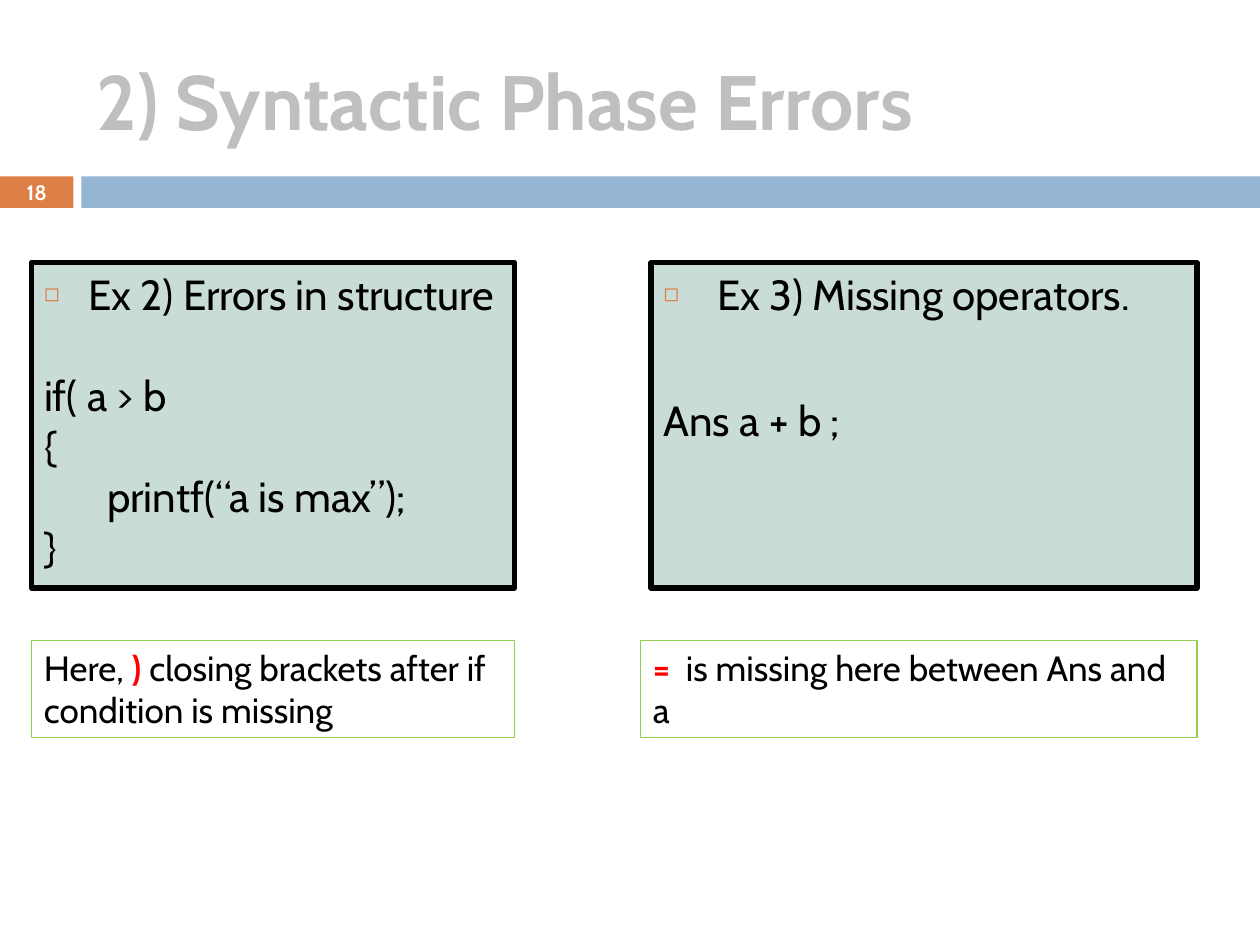
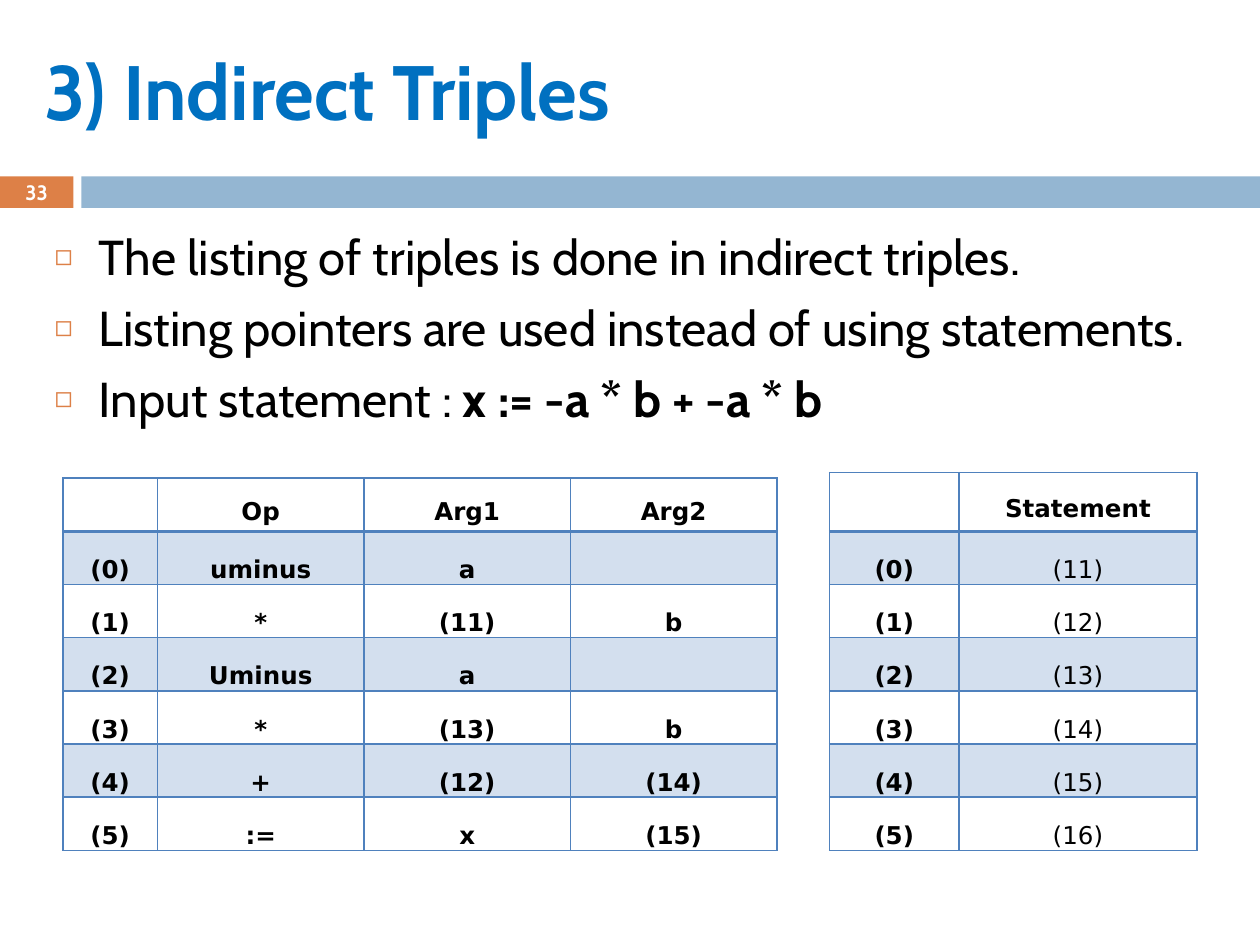
from lxml import etree
from pptx import Presentation
from pptx.dml.color import RGBColor
from pptx.enum.shapes import MSO_SHAPE
from pptx.enum.text import MSO_ANCHOR, MSO_AUTO_SIZE, PP_ALIGN
from pptx.oxml import parse_xml
from pptx.oxml.ns import nsdecls, qn
from pptx.util import Pt

RECTANGLE = MSO_SHAPE.RECTANGLE
LEFT, CENTER = PP_ALIGN.LEFT, PP_ALIGN.CENTER
MIDDLE, BOTTOM = MSO_ANCHOR.MIDDLE, MSO_ANCHOR.BOTTOM
NO_AUTOFIT, GROW = MSO_AUTO_SIZE.NONE, MSO_AUTO_SIZE.SHAPE_TO_FIT_TEXT

BLACK, WHITE, RED = "000000", "FFFFFF", "FF0000"
ORANGE, BAND_BLUE = "DD8047", "94B6D2"
EXAMPLE_FILL, NOTE_LINE = "CADCD8", "92D050"
GRID_BLUE, STRIPE = "4F81BD", "D3DFEE"


def paint(part, color):
    """Set a solid colour on a fill."""
    part.solid()
    part.fore_color.rgb = RGBColor.from_string(color)


def write(frame, text, *, size, color=BLACK, bold=False, font="Cabin", align=LEFT,
          bullet=False, indent=0, before=0, spacing=None, same_line=False):
    """Add text as a new paragraph, or at the end of the last one."""
    paragraph = frame.paragraphs[-1]
    if not same_line:
        if paragraph.runs:
            paragraph = frame.add_paragraph()
        properties = paragraph._p.get_or_add_pPr()
        properties.set("marL", str(Pt(indent)))
        properties.set("indent", str(-Pt(indent)))
        if bullet:
            bullet_color = etree.SubElement(properties, qn("a:buClr"))
            etree.SubElement(bullet_color, qn("a:srgbClr"), val=ORANGE)
            etree.SubElement(properties, qn("a:buSzPct"), val="60000")
            etree.SubElement(properties, qn("a:buChar"), char="◻")
        else:
            etree.SubElement(properties, qn("a:buNone"))
        paragraph.alignment = align
        paragraph.space_before = Pt(before)
        if spacing:
            paragraph.line_spacing = spacing
    run = paragraph.add_run()
    run.text = text
    run.font.name = font
    run.font.size = Pt(size)
    run.font.bold = bold
    paint(run.font.fill, color)


prs = Presentation()
prs.slide_width, prs.slide_height = Pt(720), Pt(540)
errors = prs.slides.add_slide(prs.slide_layouts[3])
triples = prs.slides.add_slide(prs.slide_layouts[1])

# Title, bands and page number of each slide
for slide, heading, color, page, (left, top, width) in [
    (errors, "2) Syntactic Phase Errors", "BFBFBF", "18", (48, 18, 642)),
    (triples, "3) Indirect Triples", "0070C0", "33", (18, 12, 690)),
]:
    title = slide.shapes.title
    title.left, title.top, title.width, title.height = Pt(left), Pt(top), Pt(width), Pt(78)
    title.text_frame.auto_size = NO_AUTOFIT
    title.text_frame.vertical_anchor = MIDDLE
    write(title.text_frame, heading, size=44, color=color, bold=True)

    for band_left, band_width, band_color in [(0, 42, ORANGE), (46.5, 673.5, BAND_BLUE)]:
        band = slide.shapes.add_shape(RECTANGLE, Pt(band_left), Pt(100.8), Pt(band_width), Pt(18))
        band.shadow.inherit = False
        paint(band.fill, band_color)
        band.line.fill.background()

    page_number = slide.shapes.add_textbox(0, Pt(100), Pt(42), Pt(19.5)).text_frame
    page_number.word_wrap = True
    page_number.vertical_anchor = MIDDLE
    write(page_number, page, size=11.9, color=WHITE, bold=True, align=CENTER)

# Slide 1: code examples above, notes below
structure, operators = errors.placeholders[1], errors.placeholders[2]
for example, left, width in [(structure, 18, 276), (operators, 372, 312)]:
    example.left, example.top, example.width, example.height = Pt(left), Pt(150), Pt(width), Pt(186)
    paint(example.fill, EXAMPLE_FILL)
    paint(example.line.fill, BLACK)
    example.line.width = Pt(3)
    example.text_frame.auto_size = NO_AUTOFIT

write(structure.text_frame, "Ex 2) Errors in structure", size=24, bullet=True, indent=25.2)
for code, before in [("if( a > b", 29), ("{", 0), ("\tprintf(“a is max”);", 0), ("}", 0)]:
    write(structure.text_frame, code, size=24, before=before)

write(operators.text_frame, "Ex 3) Missing operators.", size=24, bullet=True, indent=30.6)
write(operators.text_frame, "Ans a + b ;", size=24, before=43)

for left, width, pieces in [
    (18, 276, [("Here,", BLACK), (" ) ", RED),
               ("closing brackets after if condition is missing", BLACK)]),
    (366, 318, [("=  ", RED), ("is missing here between Ans and a", BLACK)]),
]:
    note = errors.shapes.add_textbox(Pt(left), Pt(366), Pt(width), Pt(55.6))
    paint(note.line.fill, NOTE_LINE)
    note.line.width = Pt(0.75)
    note.text_frame.word_wrap = True
    note.text_frame.auto_size = GROW
    for position, (piece, color) in enumerate(pieces):
        write(note.text_frame, piece, size=20, color=color, bold=color == RED,
              same_line=position > 0)

# Slide 2: list, then the triples and their pointers
points = triples.placeholders[1]
points.left, points.top, points.width, points.height = Pt(24), Pt(126), Pt(672), Pt(132)
points.text_frame.auto_size = NO_AUTOFIT
for position, point in enumerate([
    "The listing of triples is done in indirect triples.",
    "Listing pointers are used instead of using statements.",
    "Input statement : ",
]):
    write(points.text_frame, point, size=28, bullet=True, indent=25.2,
          before=7 if position else 0)
write(points.text_frame, "x := -a * b + -a * b", size=28, bold=True, same_line=True)

triple_rows = [
    ("", "Op", "Arg1", "Arg2"),
    ("(0)", "uminus", "a", ""),
    ("(1)", "*", "(11)", "b"),
    ("(2)", "Uminus", "a", ""),
    ("(3)", "*", "(13)", "b"),
    ("(4)", "+", "(12)", "(14)"),
    ("(5)", ":=", "x", "(15)"),
]
pointer_rows = [("", "Statement")] + [(f"({i})", f"({i + 11})") for i in range(6)]
ROW_HEIGHT, TABLES_BOTTOM = 30.4, 486

for rows, left, widths, header_height, bold_columns in [
    (triple_rows, 36, [54, 118, 118, 118], 30.4, 4),
    (pointer_rows, 474, [74, 136], 33.6, 1),
]:
    height = header_height + ROW_HEIGHT * (len(rows) - 1)
    table = triples.shapes.add_table(len(rows), len(widths), Pt(left), Pt(TABLES_BOTTOM - height),
                                     Pt(sum(widths)), Pt(height)).table
    table.first_row = table.horz_banding = False
    for column, width in zip(table.columns, widths):
        column.width = Pt(width)
    for r, row in enumerate(rows):
        table.rows[r].height = Pt(ROW_HEIGHT if r else header_height)
        for c, value in enumerate(row):
            cell = table.cell(r, c)
            cell.margin_left = cell.margin_right = Pt(5)
            cell.margin_top = cell.margin_bottom = 0
            cell.vertical_anchor = BOTTOM if r else MIDDLE
            if r % 2:
                paint(cell.fill, STRIPE)
            else:
                cell.fill.background()
            if value:
                write(cell.text_frame, value, size=14, font="DejaVu Sans", align=CENTER,
                      bold=r == 0 or c < bold_columns, spacing=1.5)
            for order, side in enumerate("LRTB"):
                under_header = (r, side) in [(0, "B"), (1, "T")]
                border = parse_xml(
                    f'<a:ln{side} {nsdecls("a")} w="{Pt(2.25 if under_header else 1)}">'
                    f'<a:solidFill><a:srgbClr val="{GRID_BLUE}"/></a:solidFill></a:ln{side}>')
                cell._tc.get_or_add_tcPr().insert(order, border)

prs.save("out.pptx")
